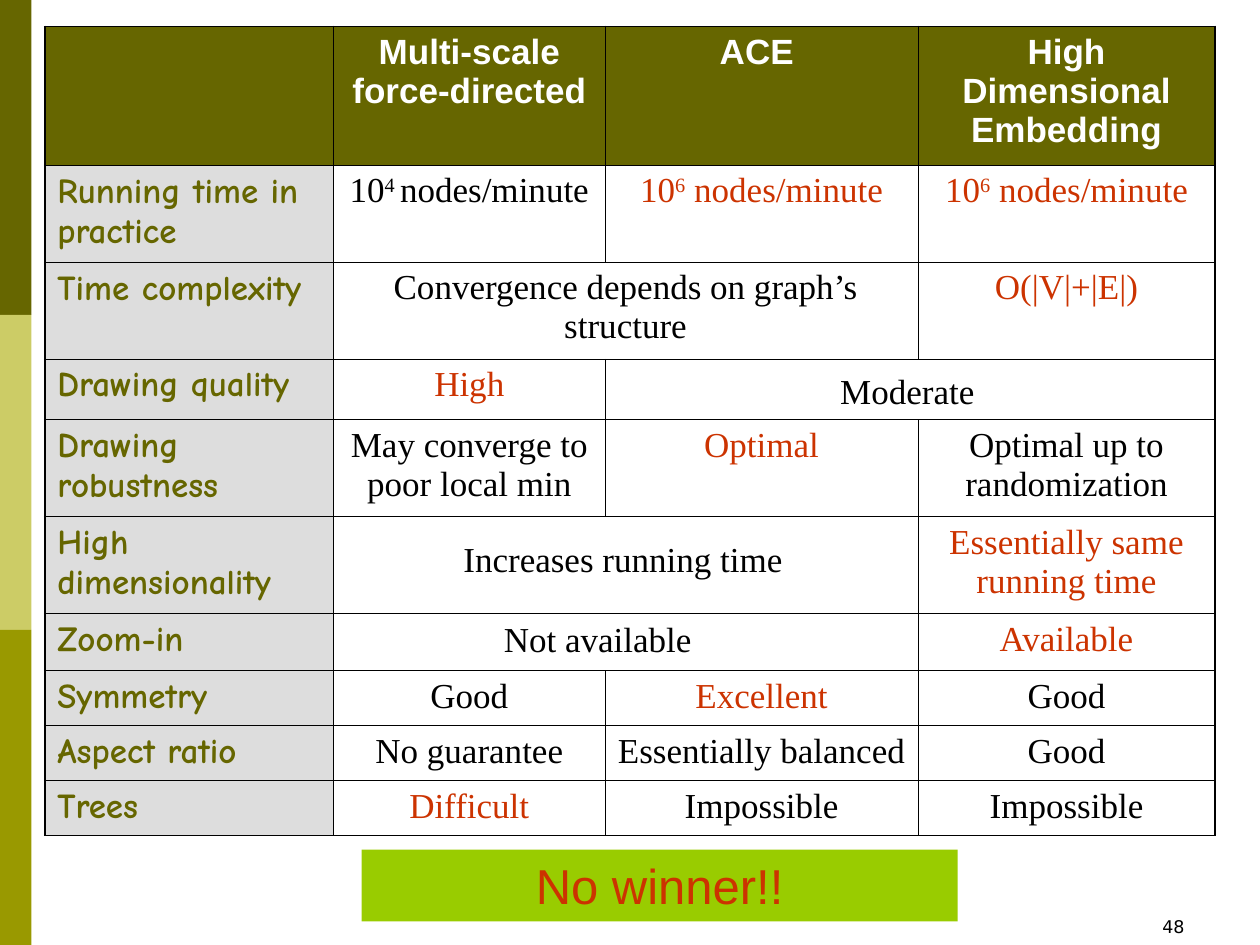
from dataclasses import dataclass

from lxml.etree import SubElement
from pptx import Presentation
from pptx.dml.color import RGBColor as RGB
from pptx.enum.shapes import MSO_SHAPE as SHAPE
from pptx.enum.text import MSO_ANCHOR as ANCHOR, PP_ALIGN as ALIGN
from pptx.oxml.ns import qn
from pptx.util import Inches, Pt

SLIDE_W, SLIDE_H = Inches(10), Inches(7.5)


@dataclass(frozen=True)
class Theme:
    olive: str = "666600"
    sand: str = "CCCC66"
    moss: str = "999900"
    lime: str = "99CC00"
    grey: str = "DDDDDD"
    white: str = "FFFFFF"
    ink: str = "000000"
    best: str = "CC3300"
    body: int = 20
    verdict: int = 28
    number: int = 10
    outer_rule: float = 1.08
    inner_rule: float = 0.45


THEME = Theme()
HEADER = dict(name="Arial", size=THEME.body, bold=True, color=THEME.white)
CRITERION = dict(name="Comic Neue", size=THEME.body, bold=True, color=THEME.olive)
FINDING = dict(name="Times New Roman", size=THEME.body, bold=False, color=THEME.ink)
BEST = FINDING | dict(color=THEME.best)
VERDICT = dict(name="Arial", size=THEME.verdict, bold=False, color=THEME.best)
NUMBER = dict(name="DejaVu Sans", size=THEME.number, bold=False, color=THEME.ink)

# Boxes, columns and rows are percentages of the slide's width and height.
TABLE_BOX = (3.55, 2.8, 92.9, 85.6)
COLUMNS = (22.9, 21.6, 24.8, 23.6)
ROWS = (14.7, 10.26, 10.26, 6.4, 10.26, 10.26, 6.04, 5.82, 5.82, 5.82)

# "*" marks the best result; "^" encloses a superscript.
COMPARISON = (
    ("", "Multi-scale force-directed", "ACE ", "High Dimensional Embedding"),
    ("Running time in practice", "10^4 ^nodes/minute",
     "*10^6^ nodes/minute", "*10^6^ nodes/minute"),
    ("Time complexity", "Convergence depends on graph’s structure", "", "*O(|V|+|E|)"),
    ("Drawing quality", "*High", "", ""),
    ("Drawing robustness", "May converge to poor local min", "*Optimal",
     "Optimal up to randomization"),
    ("High dimensionality", "", "", "*Essentially same running time"),
    ("Zoom-in", "", "", "*Available"),
    ("Symmetry", "Good", "*Excellent", "Good"),
    ("Aspect ratio", "No guarantee", "Essentially balanced", "Good"),
    ("Trees", "*Difficult", "Impossible", "Impossible"),
)
MERGED_ROW = 2
# Row: first of the two columns with no rule between them.
SHARED = {2: 1, 3: 2, 5: 1, 6: 1}
SHARED_FINDINGS = (
    ("Moderate", (65.7, 38.4, 14, 5.87)),
    ("Increases running time", (35.8, 56.27, 30, 5.87)),
    ("Not available", (39, 64.67, 21, 5.87)),
)


def across(share):
    return round(SLIDE_W * share / 100)


def down(share):
    return round(SLIDE_H * share / 100)


def place(box):
    left, top, width, height = box
    return across(left), down(top), across(width), down(height)


def write(frame, text, style, align=ALIGN.LEFT):
    frame.word_wrap = True
    paragraph = frame.paragraphs[0]
    paragraph.alignment = align
    for index, piece in enumerate(text.split("^")):
        if not piece:
            continue
        run = paragraph.add_run()
        run.text = piece
        values = style | dict(size=Pt(style["size"]))
        run.font.color.rgb = RGB.from_string(values.pop("color"))
        for attribute, value in values.items():
            setattr(run.font, attribute, value)
        if index % 2:
            run.font._element.set("baseline", "30000")


def add_panel(slide, box, color):
    panel = slide.shapes.add_shape(SHAPE.RECTANGLE, *place(box))
    panel.shadow.inherit = False
    panel.fill.solid()
    panel.fill.fore_color.rgb = RGB.from_string(color)
    panel.line.fill.background()
    return panel


def add_label(slide, box, text, style, align=ALIGN.LEFT):
    label = slide.shapes.add_textbox(*place(box))
    write(label.text_frame, text, style, align)


def add_side_band(slide, box):
    left, top, width, height = box
    colors = (THEME.olive, THEME.sand, THEME.moss)
    step = height / len(colors)
    for index, color in enumerate(colors):
        add_panel(slide, (left, top + index * step, width, step), color)


def rule_cell(cell, row, column):
    """Draw heavy rules on the table's edge, thin ones inside, none in a shared area."""
    last_row, last_column = len(ROWS) - 1, len(COLUMNS) - 1
    shared = SHARED.get(row)
    on_edge = dict(L=column == 0, R=column == last_column,
                   T=row == 0, B=row == last_row)
    hidden = dict(L=shared is not None and column == shared + 1,
                  R=column == shared)
    properties = cell._tc.get_or_add_tcPr()
    for side, outer in on_edge.items():
        width = THEME.outer_rule if outer else THEME.inner_rule
        rule = SubElement(properties, qn(f"a:ln{side}"), w=str(Pt(width)))
        if hidden.get(side):
            SubElement(rule, qn("a:noFill"))
        else:
            fill = SubElement(rule, qn("a:solidFill"))
            SubElement(fill, qn("a:srgbClr"), val=THEME.ink)


def cell_format(row, column, best):
    """Return the text style, alignment and fill for a place in the table."""
    if row == 0:
        return HEADER, ALIGN.CENTER, THEME.olive
    if column == 0:
        return CRITERION, ALIGN.LEFT, THEME.grey
    return (BEST if best else FINDING), ALIGN.CENTER, None


def add_comparison(slide, box):
    table = slide.shapes.add_table(len(ROWS), len(COLUMNS), *place(box)).table
    table.first_row = table.horz_banding = False
    for column, share in zip(table.columns, COLUMNS):
        column.width = across(share)
    for row, share in zip(table.rows, ROWS):
        row.height = down(share)
    first = SHARED[MERGED_ROW]
    table.cell(MERGED_ROW, first).merge(table.cell(MERGED_ROW, first + 1))
    for r, entries in enumerate(COMPARISON):
        for c, entry in enumerate(entries):
            cell = table.cell(r, c)
            style, align, color = cell_format(r, c, entry.startswith("*"))
            rule_cell(cell, r, c)
            if color:
                cell.fill.solid()
                cell.fill.fore_color.rgb = RGB.from_string(color)
            else:
                cell.fill.background()
            if entry:
                write(cell.text_frame, entry.removeprefix("*"), style, align)


def add_verdict(slide, box):
    banner = add_panel(slide, box, THEME.lime)
    banner.text_frame.vertical_anchor = ANCHOR.TOP
    write(banner.text_frame, "No winner!!", VERDICT, ALIGN.CENTER)


def main():
    deck = Presentation()
    deck.slide_width, deck.slide_height = SLIDE_W, SLIDE_H
    slide = deck.slides.add_slide(deck.slide_layouts[6])
    add_side_band(slide, (0, 0, 2.5, 100))
    add_label(slide, (71.7, 96.27, 23.3, 3.73), "48", NUMBER, ALIGN.RIGHT)
    add_comparison(slide, TABLE_BOX)
    add_verdict(slide, (28.7, 89.9, 47.3, 7.6))
    for text, box in SHARED_FINDINGS:
        add_label(slide, box, text, FINDING)
    deck.save("out.pptx")


if __name__ == "__main__":
    main()
